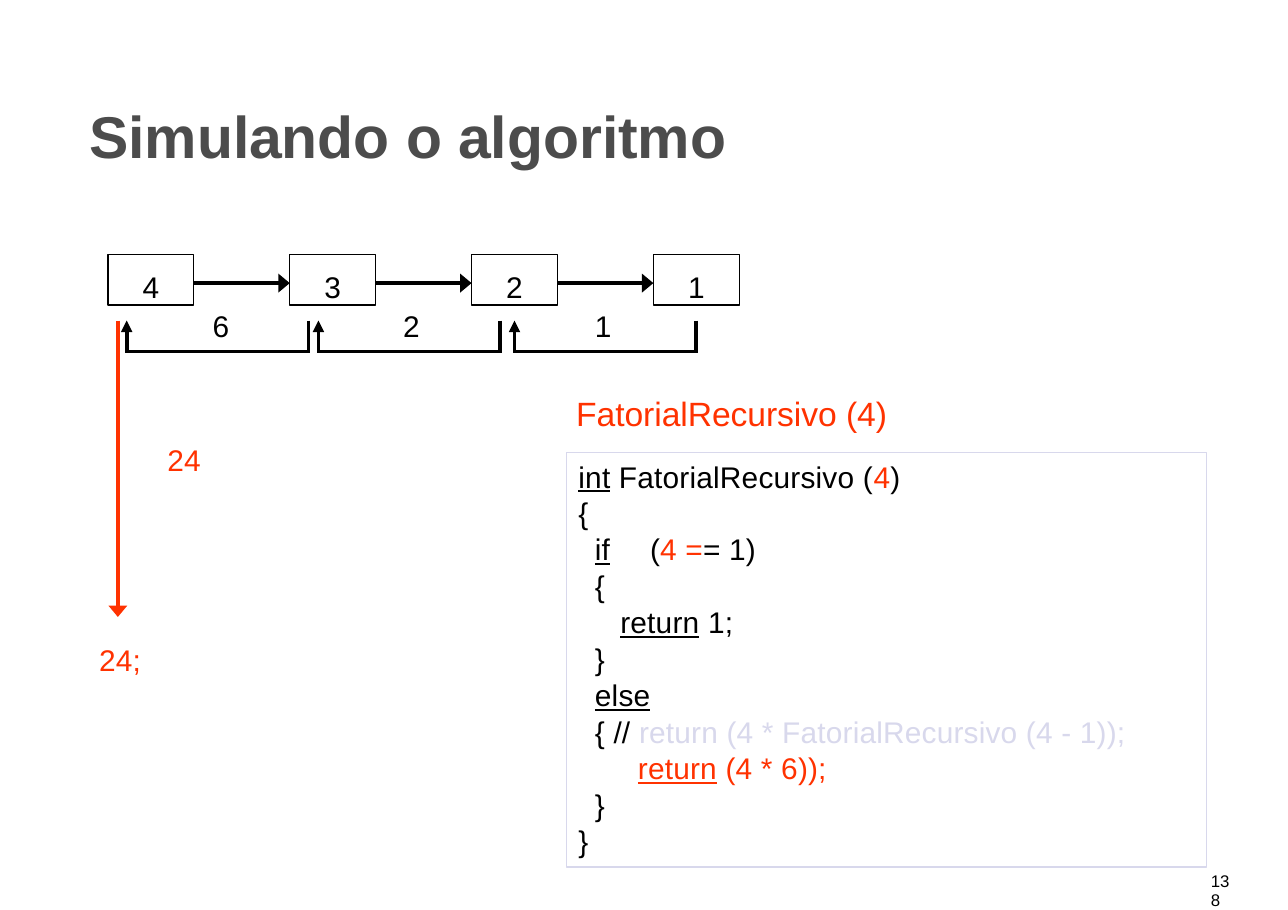
"""Slide that simulates the recursive factorial algorithm for 4."""
from dataclasses import dataclass
from typing import Optional

from lxml.etree import SubElement
from pptx import Presentation
from pptx.dml.color import RGBColor
from pptx.enum.shapes import MSO_CONNECTOR, MSO_SHAPE
from pptx.enum.text import MSO_ANCHOR, MSO_AUTO_SIZE, PP_ALIGN
from pptx.oxml.ns import qn
from pptx.util import Inches, Pt


@dataclass(frozen=True)
class Theme:
    font: str = "Arial"
    ink: str = "000000"
    accent: str = "FF3200"
    muted: str = "D8D8EC"
    heading: str = "4C4C4C"
    title_size: float = 38.5
    call_size: float = 22
    body_size: float = 19.5
    page_size: float = 11
    border: float = 0.83
    stroke: float = 2.5


@dataclass(frozen=True)
class Box:
    left: float
    top: float
    width: float
    height: float

    def emu(self) -> list:
        return [Inches(v) for v in (self.left, self.top, self.width, self.height)]


@dataclass(frozen=True)
class Label:
    text: str
    box: Box
    size: float
    color: str
    spacing: float = 0
    line_pt: Optional[float] = None


@dataclass(frozen=True)
class Span:
    text: str
    color: str
    underline: bool = False


@dataclass(frozen=True)
class CodeLine:
    indent: float
    before: float
    spans: tuple
    tab: Optional[float] = None


@dataclass(frozen=True)
class Return:
    value: str
    left: float
    label_left: float


T = Theme()
NODES = ("4", "3", "2", "1")
NODE = Box(0.98, 2.31, 0.78, 0.46)
NODE_PITCH = 1.65
ARROW_Y = 2.57
RETURN_TOP, RETURN_BOTTOM, RETURN_SPAN = 2.91, 3.19, 1.65
RETURNS = (
    Return("1", 4.67, 5.4),
    Return("2", 2.89, 3.66),
    Return("6", 1.15, 1.93),
)
LABELS = (
    Label("FatorialRecursivo (4)", Box(5.23, 3.57, 2.87, 0.38), T.call_size, T.accent, -0.03),
    Label("24", Box(1.52, 4.01, 0.4, 0.34), T.body_size, T.accent, 0.1),
    Label("24;", Box(0.9, 5.82, 0.94, 0.34), T.body_size, T.accent, 0.1),
    Label("138", Box(10.99, 7.92, 0.2, 0.17), T.page_size, T.ink, line_pt=12.2),
)
CODE_BOX = Box(5.14, 4.11, 5.81, 3.76)
CODE = (
    CodeLine(0.11, 0, (Span("int", T.ink, True), Span(" FatorialRecursivo (", T.ink),
                       Span("4", T.accent), Span(")", T.ink))),
    CodeLine(0.11, 0.3, (Span("{", T.ink),)),
    CodeLine(0.26, 0.5, (Span("if", T.ink, True), Span("\t(", T.ink),
                         Span("4 =", T.accent), Span("= 1)", T.ink)), 0.71),
    CodeLine(0.26, 0.5, (Span("{", T.ink),)),
    CodeLine(0.49, 0.3, (Span("return", T.ink, True), Span(" 1;", T.ink))),
    CodeLine(0.26, 0.5, (Span("}", T.ink),)),
    CodeLine(0.26, 0.3, (Span("else", T.ink, True),)),
    CodeLine(0.26, 0.5, (Span("{ // ", T.ink),
                         Span("return (4 * FatorialRecursivo (4 - 1));", T.muted))),
    CodeLine(0.65, 0.3, (Span("return", T.accent, True), Span(" (4 * 6));", T.accent))),
    CodeLine(0.26, 0.5, (Span("}", T.ink),)),
    CodeLine(0.11, 0.3, (Span("}", T.ink),)),
)


def style_run(r, size: float, color: str, spacing: float = 0) -> None:
    r.font.name, r.font.size = T.font, Pt(size)
    r.font.color.rgb = RGBColor.from_string(color)
    r._r.get_or_add_rPr().set("spc", str(round(spacing * 100)))


def prepare_frame(tf, top: float = 0) -> None:
    tf.word_wrap, tf.auto_size = True, MSO_AUTO_SIZE.NONE
    tf.vertical_anchor = MSO_ANCHOR.TOP
    tf.margin_left = tf.margin_right = tf.margin_bottom = 0
    tf.margin_top = Inches(top)


def add_title(slide, text: str) -> None:
    sp = slide.shapes.title
    sp.left, sp.top, sp.width, sp.height = Box(0.81, 0.55, 10.08, 1).emu()
    tf = sp.text_frame
    prepare_frame(tf, 0.35)
    tf.text = text
    p = tf.paragraphs[0]
    p.alignment = PP_ALIGN.LEFT
    style_run(p.runs[0], T.title_size, T.heading, -0.05)
    p.runs[0].font.bold = True


def add_label(slide, label: Label) -> None:
    tf = slide.shapes.add_textbox(*label.box.emu()).text_frame
    prepare_frame(tf)
    tf.text = label.text
    p = tf.paragraphs[0]
    if label.line_pt:
        p.line_spacing = Pt(label.line_pt)
    style_run(p.runs[0], label.size, label.color, label.spacing)


def add_frame(slide, box: Box, color: str, top: float):
    sp = slide.shapes.add_shape(MSO_SHAPE.RECTANGLE, *box.emu())
    sp.shadow.inherit = False
    sp.fill.background()
    sp.line.color.rgb = RGBColor.from_string(color)
    sp.line.width = Pt(T.border)
    prepare_frame(sp.text_frame, top)
    return sp.text_frame


def add_node(slide, text: str, left: float) -> None:
    tf = add_frame(slide, Box(left, NODE.top, NODE.width, NODE.height), T.ink, 0.13)
    tf.text = text
    p = tf.paragraphs[0]
    p.alignment = PP_ALIGN.CENTER
    style_run(p.runs[0], T.body_size, T.ink, 0.1)


def style_arrow(sp, color: str, head_width: str) -> None:
    sp.line.color.rgb = RGBColor.from_string(color)
    sp.line.width = Pt(T.stroke)
    ln = sp.line._get_or_add_ln()
    SubElement(ln, qn("a:miter"), lim="800000")
    SubElement(ln, qn("a:tailEnd"), type="triangle", w=head_width, len="med")


def add_arrow(slide, x1: float, y1: float, x2: float, y2: float, color: str) -> None:
    ends = [Inches(v) for v in (x1, y1, x2, y2)]
    sp = slide.shapes.add_connector(MSO_CONNECTOR.STRAIGHT, *ends)
    style_arrow(sp, color, "lg")
    SubElement(sp._element.spPr, qn("a:effectLst"))


def add_return(slide, back: Return) -> None:
    right = back.left + RETURN_SPAN
    fb = slide.shapes.build_freeform(Inches(right), Inches(RETURN_TOP))
    corners = ((right, RETURN_BOTTOM), (back.left, RETURN_BOTTOM), (back.left, RETURN_TOP))
    fb.add_line_segments([(Inches(x), Inches(y)) for x, y in corners], close=False)
    sp = fb.convert_to_shape()
    sp.shadow.inherit = False
    sp.fill.background()
    style_arrow(sp, T.ink, "med")
    add_label(slide, Label(back.value, Box(back.label_left, 2.79, 0.18, 0.34),
                           T.body_size, T.ink, 0.1))


def add_code(slide) -> None:
    tf = add_frame(slide, CODE_BOX, T.muted, 0.05)
    for i, line in enumerate(CODE):
        p = tf.add_paragraph() if i else tf.paragraphs[0]
        p.alignment, p.space_before = PP_ALIGN.LEFT, Pt(line.before)
        pPr = p._p.get_or_add_pPr()
        pPr.set("marL", str(Inches(line.indent)))
        pPr.set("indent", "0")
        if line.tab:
            tabs = SubElement(pPr, qn("a:tabLst"))
            SubElement(tabs, qn("a:tab"), pos=str(Inches(line.tab)), algn="l")
        for span in line.spans:
            r = p.add_run()
            r.text = span.text
            style_run(r, T.body_size, span.color, 0.1)
            r.font.underline = span.underline


def main() -> None:
    prs = Presentation()
    prs.slide_width, prs.slide_height = Inches(11.69), Inches(8.26)
    slide = prs.slides.add_slide(prs.slide_layouts[5])
    add_title(slide, "Simulando o algoritmo")
    add_code(slide)
    for i, text in enumerate(NODES):
        left = NODE.left + i * NODE_PITCH
        add_node(slide, text, left)
        if i:
            add_arrow(slide, left - NODE_PITCH + NODE.width, ARROW_Y, left, ARROW_Y, T.ink)
    for back in RETURNS:
        add_return(slide, back)
    add_arrow(slide, 1.07, 2.91, 1.07, 5.6, T.accent)
    for label in LABELS:
        add_label(slide, label)
    prs.save("out.pptx")


if __name__ == "__main__":
    main()
